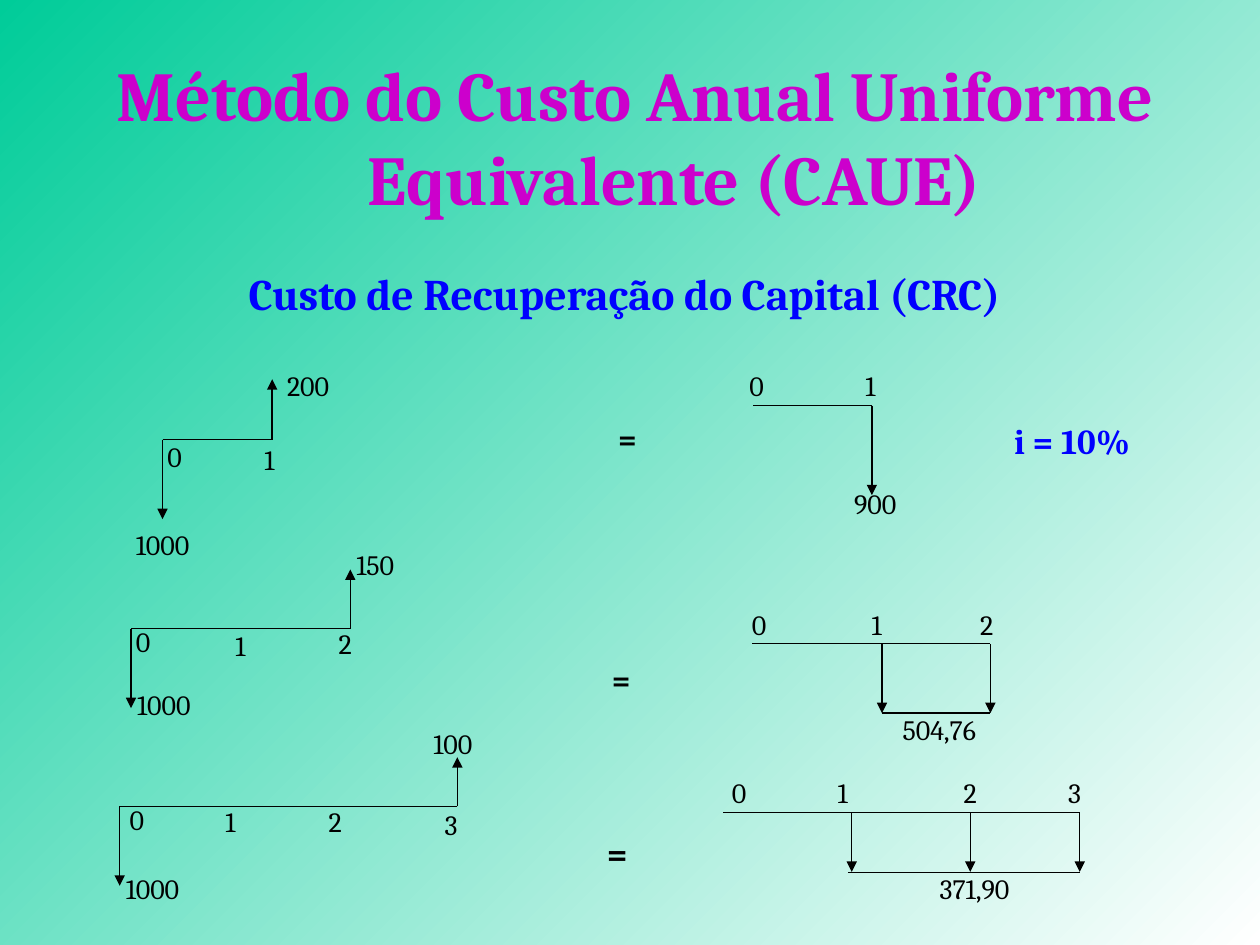
import pptx
import pptx.util
import pptx.dml.color
import pptx.enum.shapes
import pptx.enum.text
from lxml import etree

Inches = pptx.util.Inches
Pt = pptx.util.Pt
ALIGN = pptx.enum.text.PP_ALIGN

FONT = "Cambria"
BLACK, BLUE, PURPLE = "000000", "0000FF", "CC00CC"
BACKGROUND = ["00CC99", "FFFFFF"]
LABEL_HEIGHT = 0.37
PERIOD_WIDTH = 0.5
COST_DROP = 0.63
PERIOD_RISE = 0.34

TITLE = ("Método do Custo Anual Uniforme Equivalente (CAUE)", (0.51, 0.36, 9.06, 1.34), 40, PURPLE)
HEADINGS = [
    ("Custo de Recuperação do Capital (CRC)", (0.27, 1.94, 9.37, 0.64), 25, BLUE, 1.3),
    ("i = 10%", (7.76, 3.28, 1.5, 0.44), 20, BLUE, None),
    ("=", (4.69, 3.28, 0.58, 0.4), 18, BLACK, None),
    ("=", (4.64, 5.19, 0.58, 0.4), 18, BLACK, None),
    ("=", (4.61, 6.55, 0.58, 0.44), 20, BLACK, None),
]

CASH_FLOWS = [
    {"axis": (1.29, 2.16, 3.49), "salvage_tip": 3.01,
     "periods": [(1.23, 3.44), (2, 3.46)],
     "cost": ("1000", 0.98, 4.14, 1), "salvage": ("200", 2.18, 2.88, 1)},
    {"axis": (1.04, 2.78, 4.99), "salvage_tip": 4.52,
     "periods": [(0.98, 4.91), (1.77, 4.94), (2.59, 4.92)],
     "cost": ("1000", 0.99, 5.41, 1), "salvage": ("150", 2.73, 4.3, 0.67)},
    {"axis": (0.95, 3.63, 6.4), "salvage_tip": 6.01,
     "periods": [(0.93, 6.32), (1.69, 6.34), (2.51, 6.34), (3.43, 6.36)],
     "cost": ("1000", 0.9, 6.87, 1), "salvage": ("100", 3.34, 5.72, 0.61)},
]

ANNUITIES = [
    {"axis": (5.98, 3.22), "payments": [6.92], "tip": 3.93, "periods": [5.85, 6.77],
     "amount": ("900", 6.68, 3.81, 0.68), "align": ALIGN.LEFT, "base": None},
    {"axis": (5.97, 5.11), "payments": [7, 7.86], "tip": 5.66, "periods": [5.87, 6.82, 7.68],
     "amount": ("504,76", 6.87, 5.61, 1.17), "align": ALIGN.CENTER, "base": (7, 0.75)},
    {"axis": (5.74, 6.45), "payments": [6.76, 7.7, 8.57], "tip": 6.92,
     "periods": [5.71, 6.55, 7.55, 8.38],
     "amount": ("371,90", 7.15, 6.87, 1.17), "align": ALIGN.CENTER, "base": (6.73, 0.25)},
]


def rgb(value):
    return pptx.dml.color.RGBColor.from_string(value)


def add_text(shapes, text, box, size, color, bold=False, align=ALIGN.CENTER):
    frame = shapes.add_textbox(*map(Inches, box)).text_frame
    frame.word_wrap = True
    frame.text = text
    paragraph = frame.paragraphs[0]
    paragraph.alignment = align
    font = paragraph.runs[0].font
    font.name, font.size, font.bold = FONT, Pt(size), bold
    font.color.rgb = rgb(color)
    return paragraph


def add_label(shapes, text, left, top, width=PERIOD_WIDTH, align=ALIGN.LEFT):
    add_text(shapes, text, (left, top, width, LABEL_HEIGHT), 16, BLACK, align=align)


def add_line(shapes, start, end, arrow=False, width=0.75):
    line = shapes.add_connector(
        pptx.enum.shapes.MSO_CONNECTOR.STRAIGHT, *map(Inches, start + end))
    line.line.color.rgb = rgb(BLACK)
    line.line.width = Pt(width)
    properties = line.line._get_or_add_ln()
    namespace = "{" + properties.nsmap["a"] + "}"
    if arrow:
        etree.SubElement(properties, namespace + "tailEnd", type="triangle")
    etree.SubElement(properties.getparent(), namespace + "effectLst")


def add_cash_flow(shapes, flow):
    left, right, level = flow["axis"]
    add_line(shapes, (left, level), (right, level))
    add_line(shapes, (left, level), (left, level + COST_DROP), arrow=True)
    add_line(shapes, (right, level), (right, flow["salvage_tip"]), arrow=True)
    for period, position in enumerate(flow["periods"]):
        add_label(shapes, str(period), *position)
    add_label(shapes, *flow["cost"])
    add_label(shapes, *flow["salvage"])


def add_annuity(shapes, annuity):
    left, level = annuity["axis"]
    payments, tip = annuity["payments"], annuity["tip"]
    add_line(shapes, (left, level), (payments[-1], level))
    for x in payments:
        add_line(shapes, (x, level), (x, tip), arrow=True)
    if annuity["base"]:
        base_left, width = annuity["base"]
        add_line(shapes, (base_left, tip), (payments[-1], tip), width=width)
    for period, x in enumerate(annuity["periods"]):
        add_label(shapes, str(period), x, level - PERIOD_RISE)
    add_label(shapes, *annuity["amount"], align=annuity["align"])


def main():
    presentation = pptx.Presentation()
    presentation.slide_width, presentation.slide_height = Inches(10), Inches(7.5)
    slide = presentation.slides.add_slide(presentation.slide_layouts[6])
    fill = slide.background.fill
    fill.gradient()
    fill.gradient_angle = 315
    for stop, color in zip(fill.gradient_stops, BACKGROUND):
        stop.color.rgb = rgb(color)

    title = add_text(slide.shapes, *TITLE, bold=True)
    indent = title._p.get_or_add_pPr()
    indent.set("marL", str(Inches(0.63)))
    indent.set("indent", str(Inches(-0.63)))
    for text, box, size, color, spacing in HEADINGS:
        heading = add_text(slide.shapes, text, box, size, color, bold=True)
        heading.line_spacing = spacing
    for flow, annuity in zip(CASH_FLOWS, ANNUITIES):
        add_cash_flow(slide.shapes.add_group_shape().shapes, flow)
        add_annuity(slide.shapes.add_group_shape().shapes, annuity)
    presentation.save("out.pptx")


if __name__ == "__main__":
    main()
